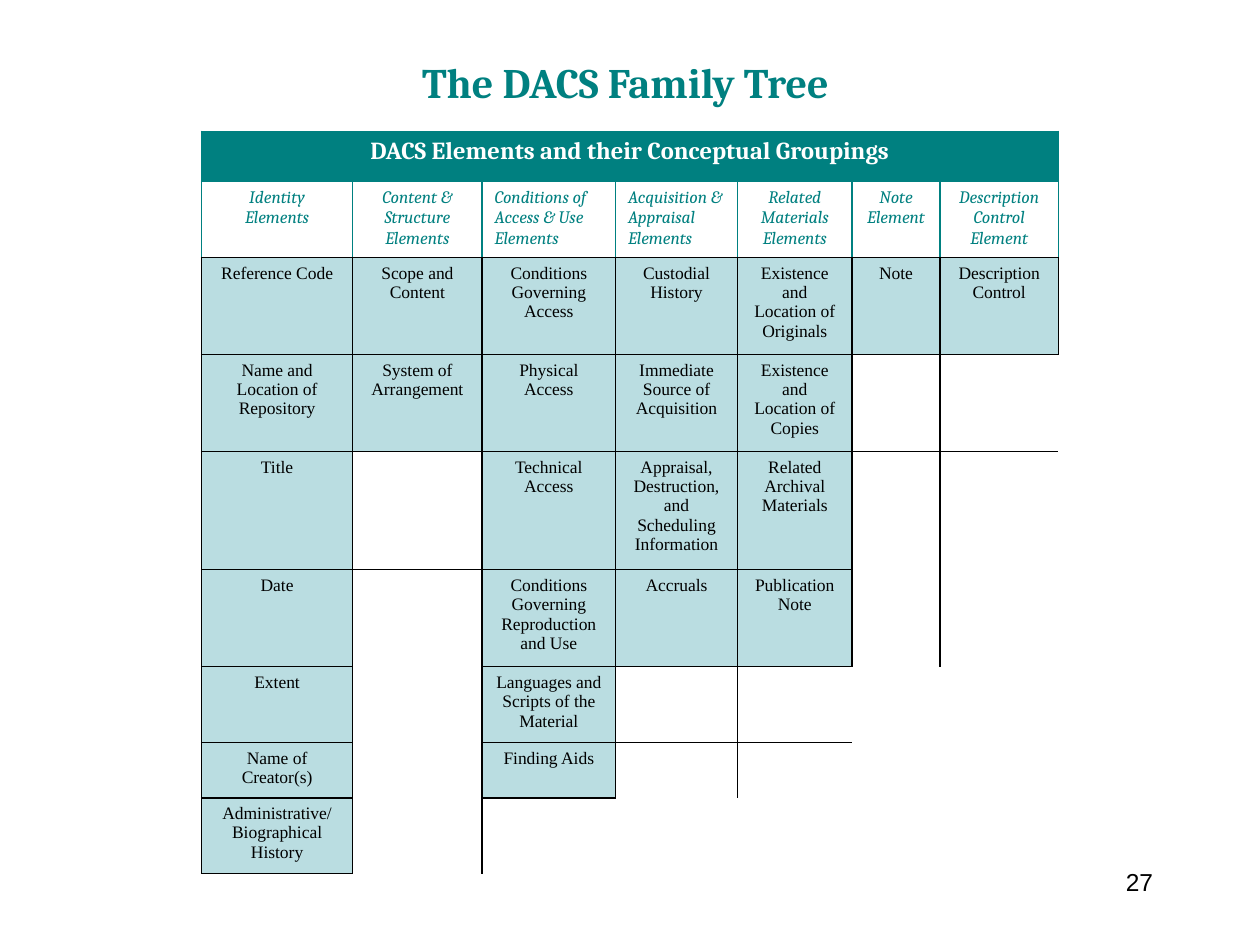
import lxml.etree
import pptx
import pptx.dml.color
import pptx.enum.text
import pptx.oxml.ns
import pptx.util

RGB = pptx.dml.color.RGBColor
ALIGN = pptx.enum.text.PP_ALIGN
TEAL = RGB(0x00, 0x80, 0x80)
PALE = RGB(0xBA, 0xDD, 0xE1)
WHITE = RGB(0xFF, 0xFF, 0xFF)
BLACK = RGB(0x00, 0x00, 0x00)
WIDE, HIGH = pptx.util.Inches(10), pptx.util.Inches(7.5)
PLAIN = "{2D5ABB26-0587-4C30-8999-92F81FD0307C}"
COLS = [1.2, 1.03, 1.06, 0.97, 0.91, 0.7, 0.94]
ROWS = [0.4, 0.6, 0.77, 0.77, 0.94, 0.77, 0.6, 0.44, 0.6]
SIDES = {"L": (0, -1), "R": (0, 1), "T": (-1, 0), "B": (1, 0)}
BANNER = "DACS Elements and their Conceptual Groupings"
GROUPS = [
    ["Identity\nElements", "Reference Code", "Name and Location of Repository",
     "Title", "Date", "Extent", "Name of\nCreator(s)",
     "Administrative/ Biographical History"],
    ["Content & Structure Elements", "Scope and Content",
     "System of Arrangement"],
    ["Conditions of Access & Use Elements", "Conditions Governing Access",
     "Physical Access", "Technical Access",
     "Conditions Governing Reproduction\nand Use",
     "Languages and Scripts of the Material", "Finding Aids"],
    ["Acquisition & Appraisal Elements", "Custodial History",
     "Immediate Source of Acquisition",
     "Appraisal, Destruction, and Scheduling Information", "Accruals"],
    ["Related Materials Elements", "Existence and Location of Originals",
     "Existence and Location of Copies", "Related Archival Materials",
     "Publication Note"],
    ["Note Element", "Note"],
    ["Description Control Element", "Description Control"],
]


def area(x, y, w, h):
    """Turn shares of the slide into a box of lengths."""
    return [round(n) for n in (x * WIDE, y * HIGH, w * WIDE, h * HIGH)]


def write(frame, text, size, font, color, align, bold=False, slant=False):
    """Fill a text frame with one styled run per line of text."""
    for i, line in enumerate(text.split("\n")):
        para = frame.add_paragraph() if i else frame.paragraphs[0]
        para.alignment = align
        run = para.add_run()
        run.text = line
        run.font.size = pptx.util.Pt(size)
        run.font.name = font
        run.font.bold = bold
        run.font.italic = slant
        run.font.color.rgb = color


def edge(cell, side, color):
    """Draw a one-point border on one side of a cell."""
    tag = pptx.oxml.ns.qn
    props = cell._tc.get_or_add_tcPr()
    line = lxml.etree.SubElement(props, tag("a:ln" + side), w="12700")
    fill = lxml.etree.SubElement(line, tag("a:solidFill"))
    lxml.etree.SubElement(fill, tag("a:srgbClr"), val=str(color))


def used(row, col):
    """Tell whether a grid place holds an element."""
    return 0 <= col < len(COLS) and 0 <= row <= len(GROUPS[col])


def border(cell, row, col):
    """Draw the sides that a cell shares with any filled place."""
    for side, (down, over) in SIDES.items():
        if used(row, col) or used(row + down, col + over):
            head = row == 0 or row == 1 and side != "B"
            edge(cell, side, TEAL if head else BLACK)


def heading(slide, box):
    """Place the slide title in its box."""
    title = slide.shapes.title
    title.left, title.top, title.width, title.height = box
    frame = title.text_frame
    frame.vertical_anchor = pptx.enum.text.MSO_ANCHOR.TOP
    write(frame, "The DACS Family Tree", 24, "Cambria", TEAL, ALIGN.LEFT, True)


def family(slide, box):
    """Place the table of elements, scaling its grid to the box."""
    grid = slide.shapes.add_table(len(ROWS), len(COLS), *box).table
    props = grid._tbl.tblPr
    props.find(pptx.oxml.ns.qn("a:tableStyleId")).text = PLAIN
    grid.first_row = grid.horz_banding = False
    for col, size in zip(grid.columns, COLS):
        col.width = round(box[2] * size / sum(COLS))
    for row, size in zip(grid.rows, ROWS):
        row.height = round(box[3] * size / sum(ROWS))
    grid.cell(0, 0).merge(grid.cell(0, len(COLS) - 1))
    for r in range(len(ROWS)):
        for c, group in enumerate(GROUPS):
            cell = grid.cell(r, c)
            border(cell, r, c)
            if r == 0 or r > 1 and used(r, c):
                cell.fill.solid()
                cell.fill.fore_color.rgb = PALE if r else TEAL
            else:
                cell.fill.background()
            if r == 1:
                align = ALIGN.LEFT if c in (2, 3) else ALIGN.CENTER
                write(cell.text_frame, group[0], 10, "Cambria", TEAL, align,
                      slant=True)
            elif r and used(r, c):
                write(cell.text_frame, group[r - 1], 10, "Times New Roman",
                      BLACK, ALIGN.CENTER)
    write(grid.cell(0, 0).text_frame, BANNER, 14, "Cambria", WHITE,
          ALIGN.CENTER, True)


def number(slide, box):
    """Place the page number in its box."""
    frame = slide.shapes.add_textbox(*box).text_frame
    frame.word_wrap = True
    write(frame, "27", 14, "Arial", BLACK, ALIGN.RIGHT)


def main():
    """Build and save the slide."""
    deck = pptx.Presentation()
    deck.slide_width, deck.slide_height = WIDE, HIGH
    slide = deck.slides.add_slide(deck.slide_layouts[5])
    number(slide, area(0.717, 0.911, 0.208, 0.067))
    heading(slide, area(0.325, 0.053, 0.383, 0.12))
    family(slide, area(0.16, 0.139, 0.68, 0.785))
    deck.save("out.pptx")


if __name__ == "__main__":
    main()
